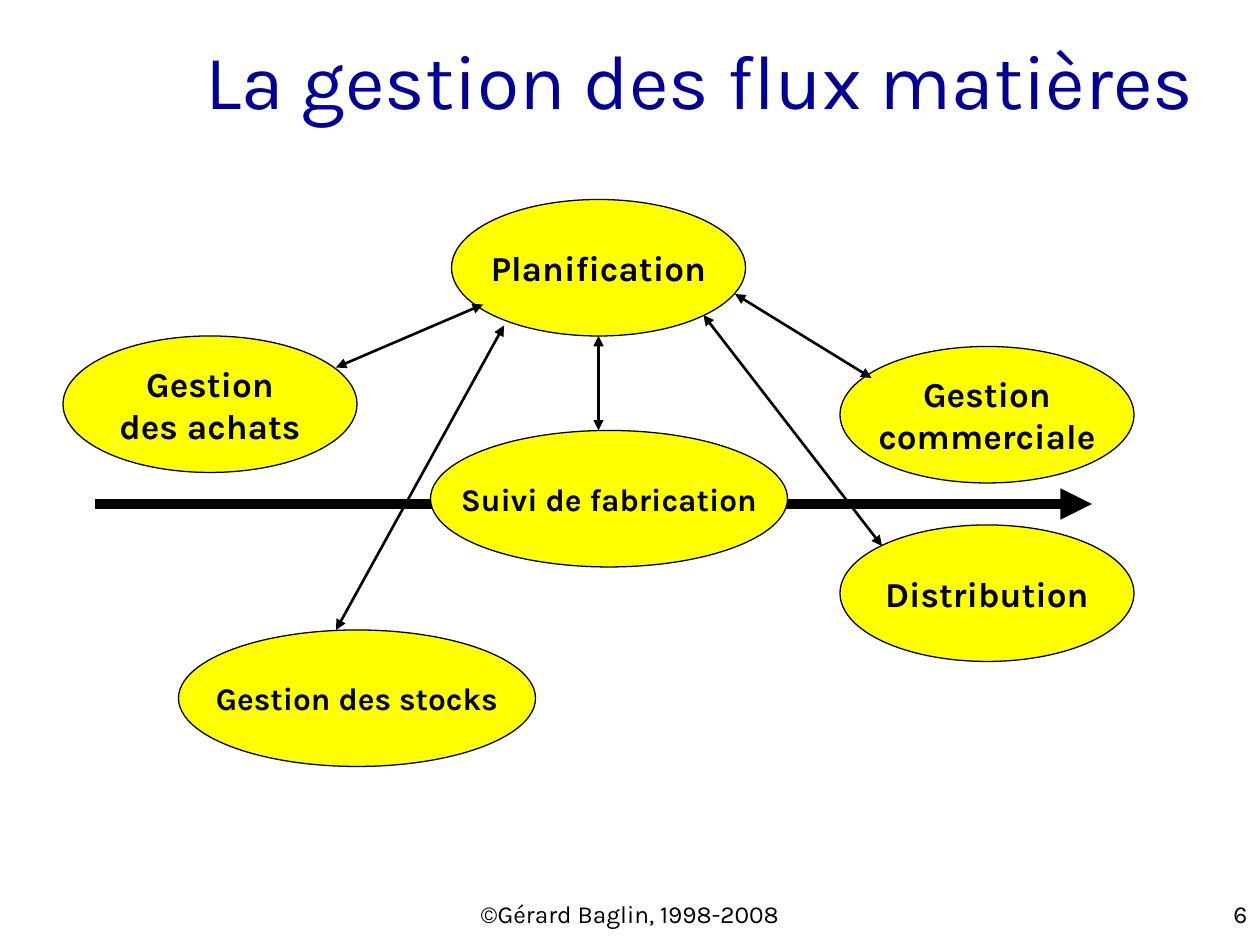
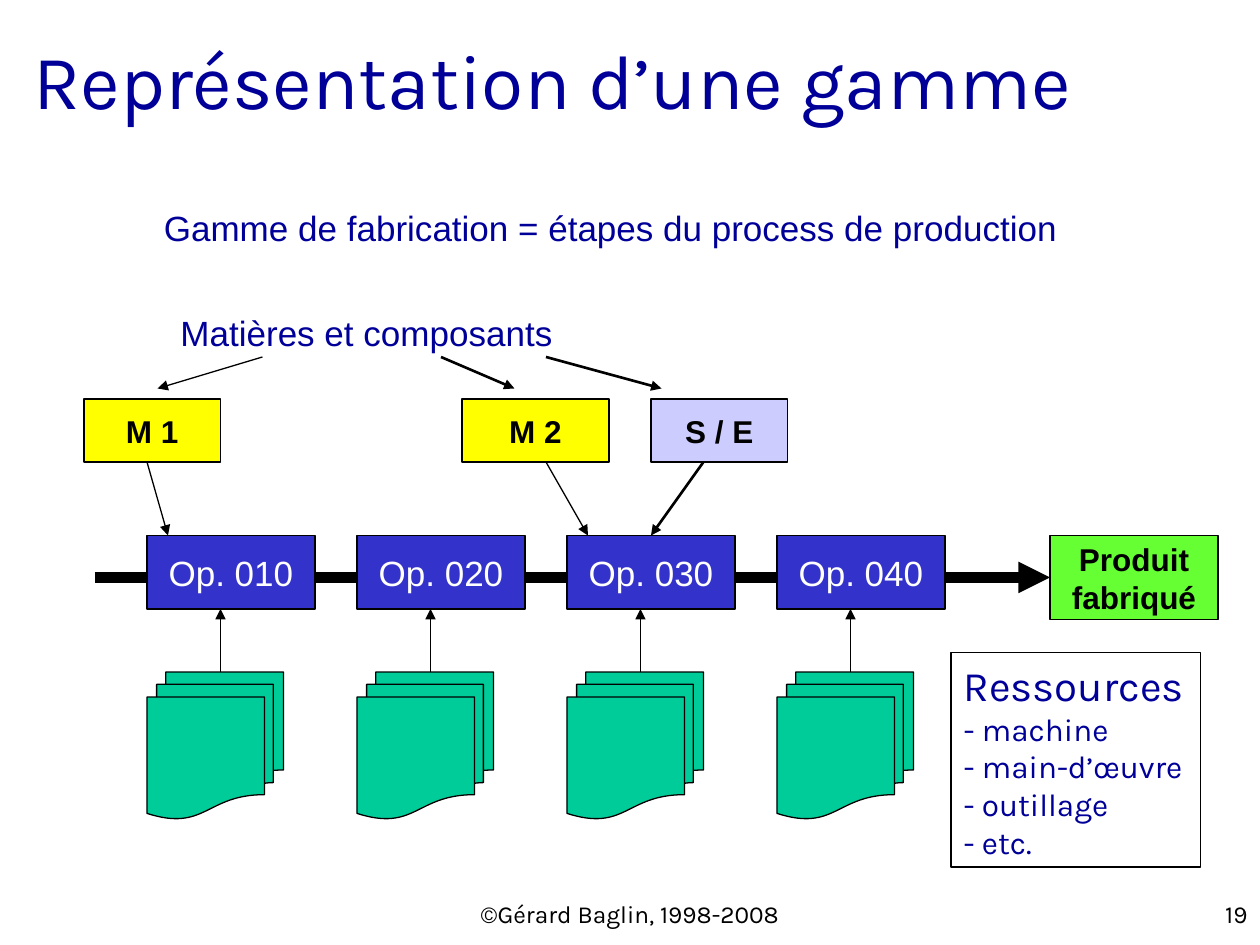
from lxml import etree
from pptx import Presentation
from pptx.dml.color import RGBColor
from pptx.enum import shapes, text
from pptx.oxml.ns import qn
from pptx.util import Pt

COLORS = {
    "navy": "000099", "black": "000000", "white": "FFFFFF", "yellow": "FFFF00",
    "blue": "3333CC", "lime": "66FF33", "lilac": "CCCCFF", "teal": "00CC99",
}
KARLA, ARIAL = "Karla", "Arial"
LEFT, CENTER, RIGHT = text.PP_ALIGN.LEFT, text.PP_ALIGN.CENTER, text.PP_ALIGN.RIGHT
TOP, MIDDLE = text.MSO_ANCHOR.TOP, text.MSO_ANCHOR.MIDDLE
RECT = shapes.MSO_SHAPE.RECTANGLE
OVAL = shapes.MSO_SHAPE.OVAL
DOCS = shapes.MSO_SHAPE.FLOWCHART_MULTIDOCUMENT

FOOTER = "©Gérard Baglin, 1998-2008"

# Slide 1: label, left, top, width, text size
FUNCTIONS = [
    ("Gestion\ncommerciale", 480, 198, 168, 20),
    ("Gestion\ndes achats", 36, 192, 168, 20),
    ("Planification", 258, 114, 168, 20),
    ("Suivi de fabrication", 246, 246, 204, 18),
    ("Distribution", 480, 300, 168, 20),
    ("Gestion des stocks", 102, 360, 204, 18),
]
FUNCTION_H = 78
PLANNING_LINKS = [
    ((276, 174), (192, 210)),
    ((342, 192), (342, 246)),
    ((420, 168), (498, 216)),
    ((402, 180), (504, 312)),
    ((288, 186), (192, 360)),
]

# Slide 2
OPERATIONS = ["Op. 010", "Op. 020", "Op. 030", "Op. 040"]
OP_LEFT, OP_STEP, OP_TOP, OP_W, OP_H = 84, 120, 306, 96, 42
DOCS_TOP, DOCS_W, DOCS_H = 384, 78, 84
COMPONENTS = [
    ("M 1", 48, 78, "yellow"),
    ("M 2", 264, 84, "yellow"),
    ("S / E", 372, 78, "lilac"),
]
COMPONENT_TOP, COMPONENT_H = 228, 36
# x at start, x at end, weight
HEADING_ARROWS = [(150, 90, 0.75), (252, 294, 1.5), (312, 378, 1.5)]
COMPONENT_ARROWS = [(84, 96, 0.75), (312, 336, 0.75)]
HEADINGS = [
    ("Gamme de fabrication = étapes du process de production", 86.5, 114, 525),
    ("Matières et composants", 96, 174, 227),
]
RESOURCES = [("Ressources", 24), ("- machine", 18), ("- main-d’œuvre", 18),
             ("- outillage", 18), ("- etc.", 18)]


def rgb(name):
    return RGBColor.from_string(COLORS[name])


def write(sp, lines, font, color, bold=False, align=CENTER, anchor=MIDDLE, wrap=False):
    """Fill a shape with paragraphs given as (text, size); a newline is a line break."""
    tf = sp.text_frame
    tf.auto_size = text.MSO_AUTO_SIZE.NONE
    tf.word_wrap = wrap
    tf.vertical_anchor = anchor
    tf.margin_left = tf.margin_right = Pt(7.2)
    tf.margin_top = tf.margin_bottom = Pt(3.6)
    for i, (content, size) in enumerate(lines):
        p = tf.add_paragraph() if i else tf.paragraphs[0]
        p.alignment = align
        for j, part in enumerate(content.split("\n")):
            if j:
                p.add_line_break()
            r = p.add_run()
            r.text = part
            r.font.name, r.font.size, r.font.bold = font, Pt(size), bold
            r.font.color.rgb = rgb(color)


def add_box(s, kind, left, top, width, height, fill=None):
    sp = s.shapes.add_shape(kind, Pt(left), Pt(top), Pt(width), Pt(height))
    sp.shadow.inherit = False
    if fill:
        sp.fill.solid()
        sp.fill.fore_color.rgb = rgb(fill)
    else:
        sp.fill.background()
    sp.line.color.rgb = rgb("black")
    sp.line.width = Pt(0.75)
    return sp


def add_label(s, content, left, top, width, height, size, font, color, **style):
    sp = s.shapes.add_textbox(Pt(left), Pt(top), Pt(width), Pt(height))
    write(sp, [(content, size)], font, color, **style)


def add_arrow(s, start, end, weight, both=False):
    c = s.shapes.add_connector(shapes.MSO_CONNECTOR.STRAIGHT,
                               *(Pt(v) for v in (*start, *end)))
    c.line.color.rgb = rgb("black")
    c.line.width = Pt(weight)
    sp_pr = c.element.spPr
    ln = sp_pr.find(qn("a:ln"))
    for tip in ("a:headEnd", "a:tailEnd") if both else ("a:tailEnd",):
        etree.SubElement(ln, qn(tip), type="triangle")
    etree.SubElement(sp_pr, qn("a:effectLst"))
    return c


def add_slide(prs, title, left, width, align, number):
    s = prs.slides.add_slide(prs.slide_layouts[5])
    sp = s.shapes.title
    sp.left, sp.top, sp.width, sp.height = Pt(left), Pt(0), Pt(width), Pt(90)
    write(sp, [(title, 44)], KARLA, "navy", align=align, wrap=True)
    for content, x, w, side in ((FOOTER, 246, 228, CENTER), (number, 570, 150, RIGHT)):
        add_label(s, content, x, 510, w, 18, 14, KARLA, "black",
                  align=side, anchor=TOP, wrap=True)
    return s


def build_flows(prs):
    s = add_slide(prs, "La gestion des flux matières", 0, 690, RIGHT, "6")
    add_arrow(s, (54, 288), (624, 288), 6)
    for label, left, top, width, size in FUNCTIONS:
        sp = add_box(s, OVAL, left, top, width, FUNCTION_H, "yellow")
        write(sp, [(label, size)], KARLA, "black", bold=True)
    for start, end in PLANNING_LINKS:
        add_arrow(s, start, end, 1.5, both=True)


def build_routing(prs):
    s = add_slide(prs, "Représentation d’une gamme", 12, 612, LEFT, "19")
    for content, left, top, width in HEADINGS:
        add_label(s, content, left, top, width, 31.5, 20, ARIAL, "navy")

    main_flow = add_arrow(s, (54, 330), (600, 330), 6)
    operations = []
    for i, label in enumerate(OPERATIONS):
        left = OP_LEFT + i * OP_STEP
        op = add_box(s, RECT, left, OP_TOP, OP_W, OP_H, "blue")
        write(op, [(label, 20)], ARIAL, "white")
        operations.append(op)
        add_box(s, DOCS, left, DOCS_TOP, DOCS_W, DOCS_H, "teal")
        add_arrow(s, (left + 42, DOCS_TOP), (left + 42, OP_TOP + OP_H), 0.75)

    product = add_box(s, RECT, 600, OP_TOP, OP_W, 48, "lime")
    write(product, [("Produit\nfabriqué", 18)], ARIAL, "black", bold=True)
    main_flow.end_connect(product, 1)

    for label, left, width, fill in COMPONENTS:
        sp = add_box(s, RECT, left, COMPONENT_TOP, width, COMPONENT_H, fill)
        write(sp, [(label, 18)], ARIAL, "black", bold=True)
    for x1, x2, weight in HEADING_ARROWS:
        add_arrow(s, (x1, 204), (x2, 222), weight)
    component_bottom = COMPONENT_TOP + COMPONENT_H
    for x1, x2, weight in COMPONENT_ARROWS:
        add_arrow(s, (x1, component_bottom), (x2, OP_TOP), weight)
    subassembly = add_arrow(s, (402, component_bottom), (372, OP_TOP), 1.5)
    subassembly.end_connect(operations[2], 0)

    resources = add_box(s, RECT, 543.5, 373, 142.5, 122.5)
    write(resources, RESOURCES, KARLA, "navy", align=LEFT)


def main():
    prs = Presentation()
    prs.slide_width, prs.slide_height = Pt(720), Pt(540)
    build_flows(prs)
    build_routing(prs)
    prs.save("out.pptx")


if __name__ == "__main__":
    main()
